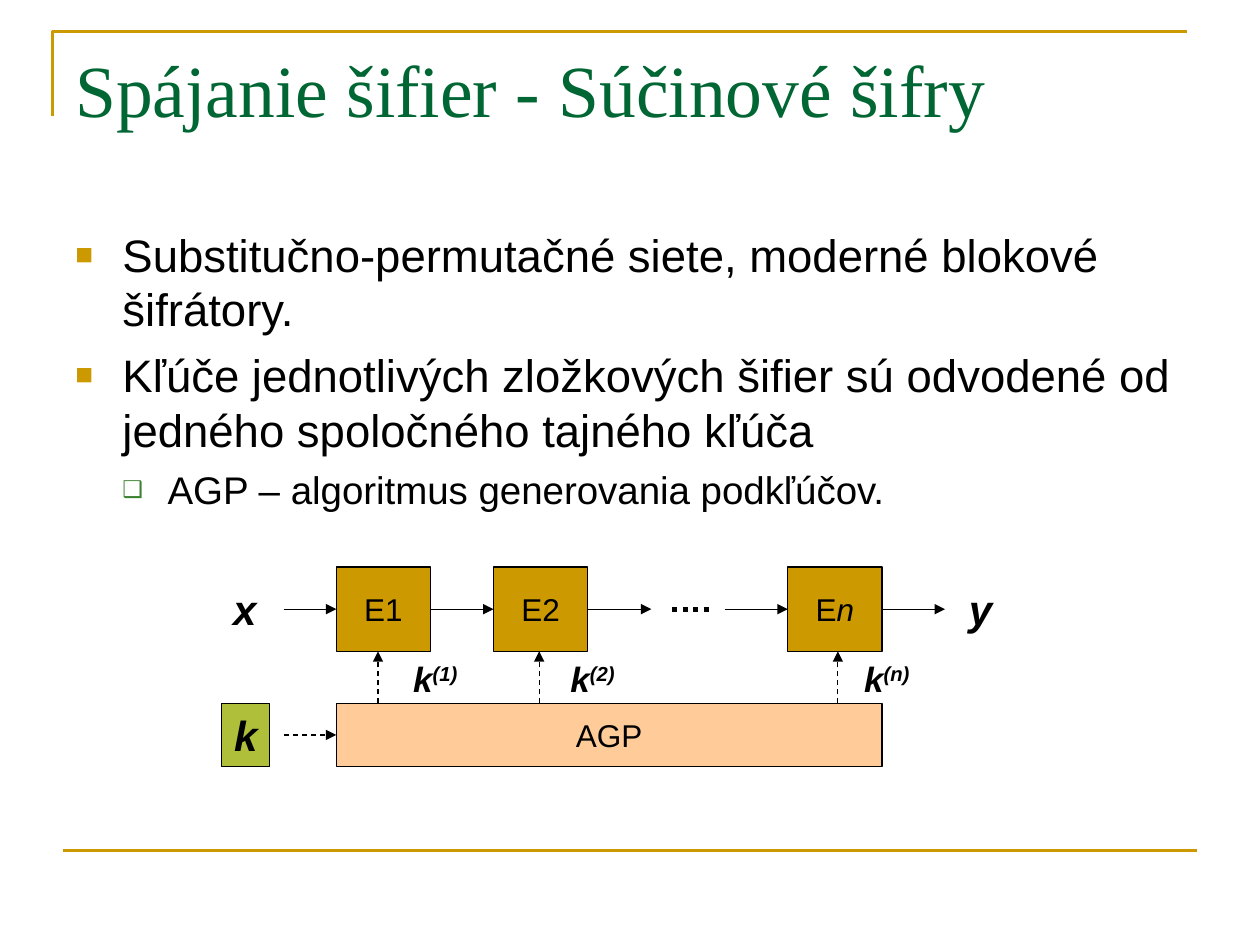
"""Build a slide on product ciphers with a subkey generation diagram."""
from lxml import etree
from pptx import Presentation
from pptx import util as u
from pptx.dml.color import RGBColor
from pptx.enum import dml, shapes, text
from pptx.oxml.ns import qn

COLOURS = {
    "gold": "CC9900",
    "green": "006633",
    "leaf": "3B812F",
    "lime": "AFBF39",
    "peach": "FFCC99",
    "black": "000000",
}
BOX_WIDTH, BOX_HEIGHT, BOX_TOP = 1.9, 1.7, 11.43
FLOW_Y = 12.28
BOX_BOTTOM = BOX_TOP + BOX_HEIGHT
AGP_LEFT, AGP_TOP, AGP_WIDTH, AGP_HEIGHT = 6.78, 14.18, 11, 1.27


def colour(name):
    """Return the named palette colour."""
    return RGBColor.from_string(COLOURS[name])


def add_run(paragraph, words, size, name="black", font="Arial", bold=False, italic=False, baseline=0):
    """Append one formatted run to a paragraph."""
    run = paragraph.add_run()
    run.text = words
    run.font.size = u.Pt(size)
    run.font.name = font
    run.font.color.rgb = colour(name)
    run.font.bold = bold
    run.font.italic = italic
    if baseline:
        run._r.get_or_add_rPr().set("baseline", str(baseline * 1000))


def add_text_box(slide, left, top, width, height, wrap=False):
    """Add an empty text box and return its text frame."""
    shape = slide.shapes.add_textbox(u.Cm(left), u.Cm(top), u.Cm(width), u.Cm(height))
    frame = shape.text_frame
    frame.word_wrap = wrap
    if not wrap:
        frame.auto_size = text.MSO_AUTO_SIZE.SHAPE_TO_FIT_TEXT
    return frame


def add_box(slide, left, top, width, height, fill):
    """Add an outlined rectangle and return its centred paragraph."""
    shape = slide.shapes.add_shape(
        shapes.MSO_SHAPE.RECTANGLE, u.Cm(left), u.Cm(top), u.Cm(width), u.Cm(height))
    shape.shadow.inherit = False
    shape.fill.solid()
    shape.fill.fore_color.rgb = colour(fill)
    shape.line.color.rgb = colour("black")
    shape.line.width = u.Pt(0.75)
    frame = shape.text_frame
    frame.word_wrap = False
    frame.vertical_anchor = text.MSO_ANCHOR.MIDDLE
    paragraph = frame.paragraphs[0]
    paragraph.alignment = text.PP_ALIGN.CENTER
    return paragraph


def add_line(slide, start, end, name="black", width=0.75, dash=None, arrow=False):
    """Add a straight line, optionally dashed or with an arrowhead."""
    line = slide.shapes.add_connector(
        shapes.MSO_CONNECTOR.STRAIGHT, *[u.Cm(value) for value in (*start, *end)])
    line.line.color.rgb = colour(name)
    line.line.width = u.Pt(width)
    if dash:
        line.line.dash_style = dash
    if arrow:
        etree.SubElement(line.line._get_or_add_ln(), qn("a:tailEnd"), type="triangle")
    etree.SubElement(line._element.spPr, qn("a:effectLst"))


def add_frame(slide):
    """Draw the corner rule above the title and the rule at the foot."""
    builder = slide.shapes.build_freeform(u.Cm(1.06), u.Cm(2.33))
    corner = [(u.Cm(1.06), u.Cm(0.64)), (u.Cm(23.92), u.Cm(0.64))]
    builder.add_line_segments(corner, close=False)
    shape = builder.convert_to_shape()
    shape.shadow.inherit = False
    shape.fill.background()
    shape.line.color.rgb = colour("gold")
    shape.line.width = u.Pt(1.5)
    add_line(slide, (1.27, 17.15), (24.13, 17.15), "gold", 1.5)


def add_bullet(paragraph, symbol, name, percent, margin, indent):
    """Give a paragraph a coloured bullet and a hanging indent."""
    properties = paragraph._p.get_or_add_pPr()
    properties.set("marL", str(u.Cm(margin)))
    properties.set("indent", str(-u.Cm(indent)))
    bullet_colour = etree.SubElement(properties, qn("a:buClr"))
    etree.SubElement(bullet_colour, qn("a:srgbClr"), val=COLOURS[name])
    etree.SubElement(properties, qn("a:buSzPct"), val=str(percent * 1000))
    etree.SubElement(properties, qn("a:buFont"), typeface="Arial")
    etree.SubElement(properties, qn("a:buChar"), char=symbol)


def add_body(slide):
    """Add the bulleted text."""
    main_style = ("■", "gold", 65, 0.95, 0.95)
    sub_style = ("❑", "leaf", 60, 1.86, 0.91)
    items = [
        ("Substitučno-permutačné siete, moderné blokové šifrátory.", 26, 0, main_style),
        ("Kľúče jednotlivých zložkových šifier sú odvodené od jedného spoločného tajného kľúča",
         26, 6.5, main_style),
        ("AGP – algoritmus generovania podkľúčov.", 22, 5.5, sub_style),
    ]
    frame = add_text_box(slide, 1.27, 4.45, 22.86, 6.15, wrap=True)
    for index, (words, size, space, style) in enumerate(items):
        paragraph = frame.add_paragraph() if index else frame.paragraphs[0]
        add_bullet(paragraph, *style)
        paragraph.space_before = u.Pt(space)
        add_run(paragraph, words, size)


def add_symbol(paragraph, letter, size=24, superscript=""):
    """Write a bold italic variable with an optional superscript."""
    add_run(paragraph, letter, size, bold=True, italic=True)
    if superscript:
        add_run(paragraph, superscript, size, bold=True, italic=True, baseline=30)


def add_diagram(slide):
    """Draw the cipher chain and the subkey generator below it."""
    dash = dml.MSO_LINE.DASH
    stages = [
        (6.78, "1", False, 7.62, 8.08),
        (9.95, "2", False, 10.87, 11.25),
        (15.88, "n", True, 16.89, 17.17),
    ]
    add_run(add_box(slide, AGP_LEFT, AGP_TOP, AGP_WIDTH, AGP_HEIGHT, "peach"), "AGP", 18)
    for left, number, italic, key_x, label_left in stages:
        paragraph = add_box(slide, left, BOX_TOP, BOX_WIDTH, BOX_HEIGHT, "gold")
        if italic:
            add_run(paragraph, "E", 18)
            add_run(paragraph, number, 18, italic=True)
        else:
            add_run(paragraph, "E" + number, 18)
        add_line(slide, (key_x, AGP_TOP), (key_x, BOX_BOTTOM), dash=dash, arrow=True)
        label = add_text_box(slide, label_left, BOX_BOTTOM, 1.5, 1.12)
        add_symbol(label.paragraphs[0], "k", 20, f"({number})")

    for start, end in [(5.72, 6.78), (8.68, 9.95), (11.86, 13.13), (14.61, 15.88), (17.78, 19.05)]:
        add_line(slide, (start, FLOW_Y), (end, FLOW_Y), arrow=True)
    add_line(slide, (13.55, FLOW_Y), (14.39, FLOW_Y), width=3, dash=dml.MSO_LINE.ROUND_DOT)

    for letter, left in [("x", 4.45), ("y", 19.28)]:
        add_symbol(add_text_box(slide, left, 11.63, 0.97, 1.27).paragraphs[0], letter)
    add_symbol(add_box(slide, 4.47, AGP_TOP, 0.97, AGP_HEIGHT, "lime"), "k")
    key_y = AGP_TOP + AGP_HEIGHT / 2
    add_line(slide, (5.72, key_y), (AGP_LEFT, key_y), dash=dash, arrow=True)


def main():
    """Create and save the presentation."""
    presentation = Presentation()
    presentation.slide_width, presentation.slide_height = u.Cm(25.4), u.Cm(19.05)
    slide = presentation.slides.add_slide(presentation.slide_layouts[6])
    add_frame(slide)
    title = add_text_box(slide, 1.27, 0.76, 22.86, 3.18, wrap=True)
    add_run(title.paragraphs[0], "Spájanie šifier - Súčinové šifry", 42, "green", "Times New Roman")
    add_body(slide)
    add_diagram(slide)
    presentation.save("out.pptx")


if __name__ == "__main__":
    main()
